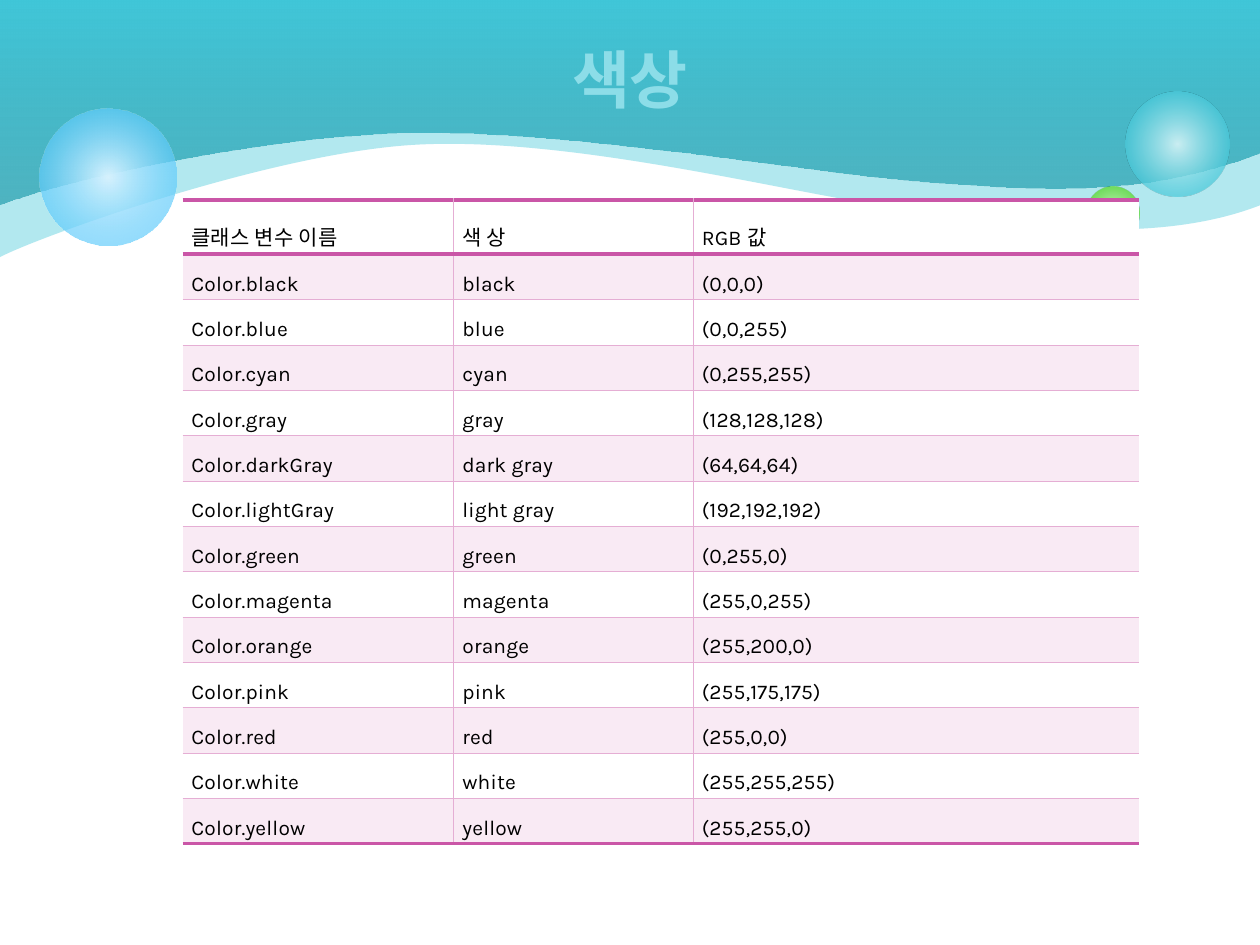
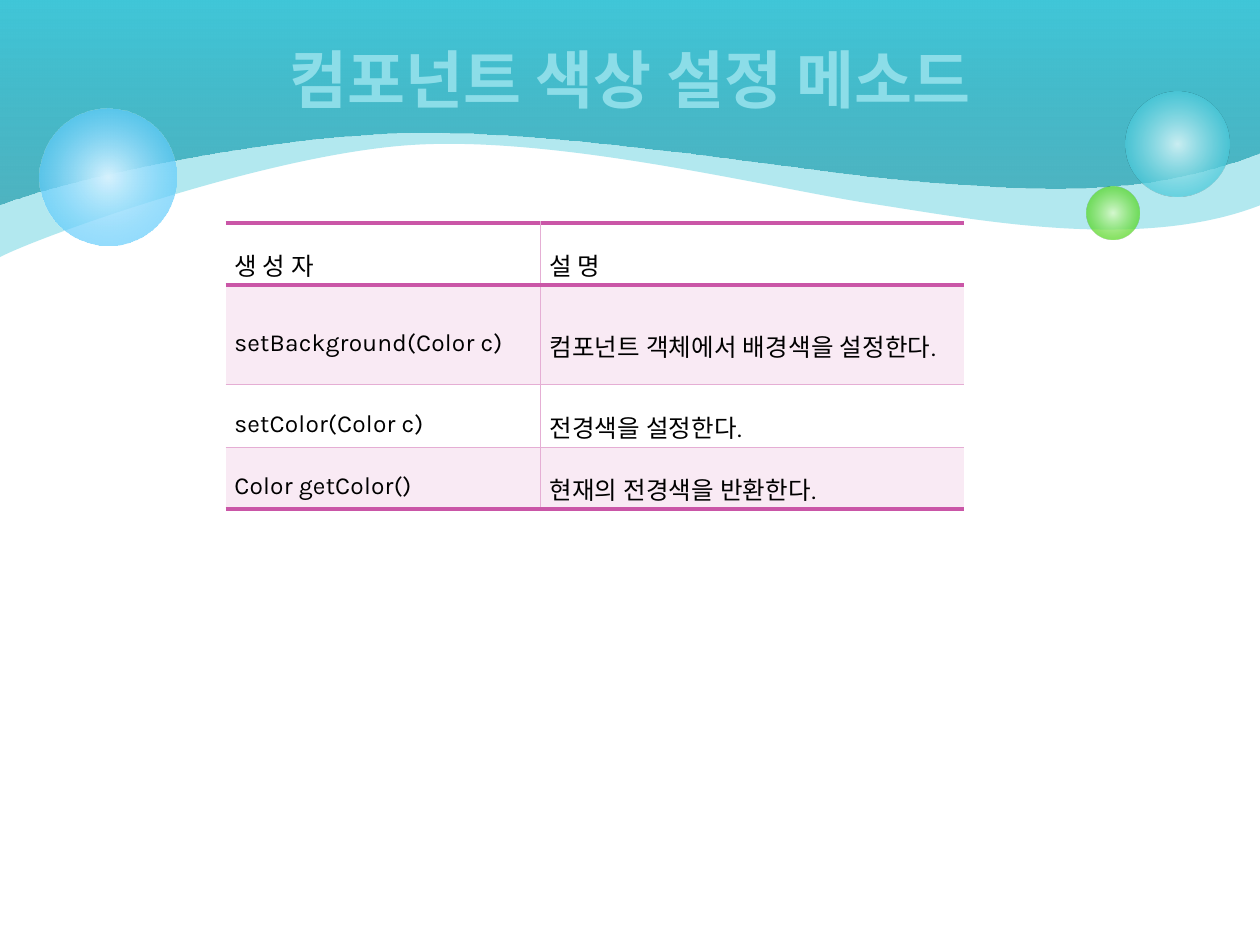
"""Build two slides on Java colours under a shared wave-and-bubble header."""
from dataclasses import dataclass
from typing import NamedTuple, Optional

import pptx
import pptx.dml.color
import pptx.enum.shapes
import pptx.enum.text
import pptx.oxml
import pptx.oxml.ns
import pptx.util

RGBColor = pptx.dml.color.RGBColor
qn = pptx.oxml.ns.qn

WIDTH, HEIGHT = pptx.util.Inches(10), pptx.util.Inches(7.5)
COL, ROW = WIDTH / 100, HEIGHT / 75

BLACK = RGBColor(0x00, 0x00, 0x00)
WHITE = RGBColor(0xFF, 0xFF, 0xFF)
AQUA = RGBColor(0x40, 0xC6, 0xD8)
DEEP_AQUA = RGBColor(0x24, 0x9E, 0xAE)
MID_AQUA = RGBColor(0x8C, 0xDD, 0xE8)
PALE_AQUA = RGBColor(0xD9, 0xF4, 0xF7)
GREEN = RGBColor(0x4C, 0xD4, 0x16)
PALE_GREEN = RGBColor(0xDA, 0xFA, 0xCD)
BLUE = RGBColor(0x33, 0xBD, 0xFB)
PALE_BLUE = RGBColor(0xD6, 0xF2, 0xFE)
BAND_PINK = RGBColor(0xF9, 0xEA, 0xF4)
LINE_PINK = RGBColor(0xE5, 0xAE, 0xD4)
RULE_PINK = RGBColor(0xCA, 0x56, 0xA7)

TITLE_FONT, BODY_FONT = "Noto Sans CJK KR", "Karla"


class Stop(NamedTuple):
    position: int
    color: RGBColor
    alpha: int = 100


class Border(NamedTuple):
    color: RGBColor
    width: float


@dataclass(frozen=True)
class Wave:
    curves: list[tuple[float, float]]
    stops: list[Stop]
    angle: Optional[int] = None


@dataclass(frozen=True)
class Bubble:
    left: float
    top: float
    size: float
    stops: list[Stop]


@dataclass(frozen=True)
class TableSlide:
    title: str
    left: float
    top: float
    columns: list[float]
    heights: list[float]
    size: int
    cells: list[tuple[str, ...]]


THIN, THICK = Border(LINE_PINK, 0.28), Border(RULE_PINK, 2.55)

WAVES = [
    Wave([(0, 5.4), (0, 15), (0, 20.4), (3.3, 18.7), (21.4, 12.2), (32.8, 11.5),
          (44.3, 10.8), (60.6, 14.8), (68.7, 16.1), (76.8, 17.3), (90.2, 20.1), (100, 16.3)],
         [Stop(0, AQUA, 40)]),
    Wave([(0, 5.4), (0, 10.8), (0, 16.2), (4.5, 14.4), (20.3, 10.8), (32.6, 10.5),
          (44.9, 10.2), (65.8, 13.9), (73.7, 14.4), (81.6, 14.9), (90.2, 15.9), (100, 12.1)],
         [Stop(0, DEEP_AQUA, 69), Stop(100, AQUA)], 270),
]
BUBBLES = [
    Bubble(89.3, 7.3, 8.3, [Stop(0, PALE_AQUA, 90), Stop(76, AQUA, 70)]),
    Bubble(86.2, 14.8, 4.2, [Stop(0, PALE_GREEN, 90), Stop(76, GREEN, 70)]),
    Bubble(3.1, 8.6, 10.9, [Stop(0, PALE_BLUE), Stop(100, BLUE, 54)]),
]
TITLE_STOPS = [Stop(0, PALE_AQUA), Stop(48, MID_AQUA), Stop(57, PALE_AQUA), Stop(100, PALE_AQUA)]

COLORS = {
    "black": (0, 0, 0), "blue": (0, 0, 255), "cyan": (0, 255, 255),
    "gray": (128, 128, 128), "darkGray": (64, 64, 64), "lightGray": (192, 192, 192),
    "green": (0, 255, 0), "magenta": (255, 0, 255), "orange": (255, 200, 0),
    "pink": (255, 175, 175), "red": (255, 0, 0), "white": (255, 255, 255),
    "yellow": (255, 255, 0),
}


def spaced(name: str) -> str:
    return "".join(f" {c.lower()}" if c.isupper() else c for c in name)


COLOR_ROWS = [(f"Color.{name}", spaced(name), f"({r},{g},{b})")
              for name, (r, g, b) in COLORS.items()]

SLIDES = [
    TableSlide("색상", 14.5, 15.9, [21.5, 19, 35.4], [3.6] * (len(COLOR_ROWS) + 1), 12,
               [("클래스 변수 이름", "색 상", "RGB 값"), *COLOR_ROWS]),
    TableSlide("컴포넌트 색상 설정 메소드", 17.9, 17.7, [25, 33.6], [4.1, 7.9, 4.1, 4.1], 14,
               [("생 성 자", "설 명"),
                ("setBackground(Color c)", "컴포넌트 객체에서 배경색을 설정한다."),
                ("setColor(Color c)", "전경색을 설정한다."),
                ("Color getColor()", "현재의 전경색을 반환한다.")]),
]


def x(cols: float) -> int:
    return round(cols * COL)


def y(rows: float) -> int:
    return round(rows * ROW)


def xml(text: str):
    head, tail = text.split(">", 1)
    slash = "/" if head.endswith("/") else ""
    return pptx.oxml.parse_xml(f"{head.rstrip('/')} {pptx.oxml.ns.nsdecls('a')}{slash}>{tail}")


def fill_xml(stops: list[Stop], angle: Optional[int] = None):
    colors = [f'<a:srgbClr val="{s.color}"><a:alpha val="{s.alpha * 1000}"/></a:srgbClr>'
              for s in stops]
    if len(stops) == 1:
        return xml(f"<a:solidFill>{colors[0]}</a:solidFill>")
    steps = "".join(f'<a:gs pos="{s.position * 1000}">{c}</a:gs>' for s, c in zip(stops, colors))
    if angle is None:
        shade = ('<a:path path="circle">'
                 '<a:fillToRect l="50000" t="50000" r="50000" b="50000"/></a:path>')
    else:
        shade = f'<a:lin ang="{angle * 60000}" scaled="0"/>'
    return xml(f'<a:gradFill rotWithShape="1"><a:gsLst>{steps}</a:gsLst>{shade}</a:gradFill>')


def paint(sp, stops: list[Stop], angle: Optional[int] = None) -> None:
    sp.shadow.inherit = False
    sp.line.fill.background()
    sp.fill.background()
    props = sp.element.find(qn("p:spPr"))
    props.replace(props.find(qn("a:noFill")), fill_xml(stops, angle))


def draw_wave(slide, wave: Wave):
    builder = slide.shapes.build_freeform(0, 0)
    corners = [(100.1, 0), (0, 0)]
    builder.add_line_segments([(x(c), y(r)) for c, r in wave.curves + corners], close=True)
    sp = builder.convert_to_shape()
    lines = list(sp.element.iter(qn("a:lnTo")))[:len(wave.curves)]
    for i in range(0, len(lines), 3):
        curve = xml("<a:cubicBezTo/>")
        lines[i].addprevious(curve)
        for line in lines[i:i + 3]:
            curve.append(line[0])
            line.getparent().remove(line)
    paint(sp, wave.stops, wave.angle)
    return sp


def draw_bubble(slide, bubble: Bubble):
    sp = slide.shapes.add_shape(pptx.enum.shapes.MSO_SHAPE.OVAL, x(bubble.left), y(bubble.top),
                                x(bubble.size), y(bubble.size))
    paint(sp, bubble.stops)
    return sp


def decorate_layout(layout, slide) -> None:
    """Draw the header on a slide and hand it over to the slide's layout."""
    shapes = [draw_wave(slide, w) for w in WAVES] + [draw_bubble(slide, b) for b in BUBBLES]
    for sp in shapes:
        layout.shapes.element.append(sp.element)
    title = layout.placeholders[0]
    title.left, title.top, title.width, title.height = x(5), y(0), x(90), y(12.5)


def write_title(slide, text: str) -> None:
    sp = slide.shapes.title
    tf = sp.text_frame
    tf.text = text
    tf.vertical_anchor = pptx.enum.text.MSO_ANCHOR.MIDDLE
    p = tf.paragraphs[0]
    p.alignment = pptx.enum.text.PP_ALIGN.CENTER
    p.font.size, p.font.name = pptx.util.Pt(36), TITLE_FONT
    p.runs[0].font.bold = True
    props = next(sp.element.iter(qn("a:rPr")))
    props.append(xml(f'<a:ln w="{pptx.util.Pt(0.5)}"><a:solidFill>'
                     f'<a:srgbClr val="{PALE_AQUA}"/></a:solidFill></a:ln>'))
    props.append(fill_xml(TITLE_STOPS, 90))
    props.append(xml(f'<a:ea typeface="{TITLE_FONT}"/>'))


def border_xml(side: str, border: Optional[Border]):
    if border is None:
        return xml(f'<a:ln{side} w="0"><a:noFill/></a:ln{side}>')
    return xml(f'<a:ln{side} w="{pptx.util.Pt(border.width)}"><a:solidFill>'
               f'<a:srgbClr val="{border.color}"/></a:solidFill></a:ln{side}>')


def write_cell(cell, text: str, size: int, fill: RGBColor) -> None:
    cell.text = text
    cell.vertical_anchor = pptx.enum.text.MSO_ANCHOR.MIDDLE
    cell.margin_left = cell.margin_right = pptx.util.Inches(0.07)
    cell.margin_top = cell.margin_bottom = pptx.util.Inches(0.02)
    cell.fill.solid()
    cell.fill.fore_color.rgb = fill
    p = cell.text_frame.paragraphs[0]
    p.alignment = pptx.enum.text.PP_ALIGN.JUSTIFY
    p.line_spacing = 1.6
    p.font.size, p.font.name, p.font.bold = pptx.util.Pt(size), BODY_FONT, False
    p.font.color.rgb = BLACK


def draw_table(slide, spec: TableSlide) -> None:
    n_rows, n_cols = len(spec.heights), len(spec.columns)
    frame = slide.shapes.add_table(n_rows, n_cols, x(spec.left), y(spec.top),
                                   x(sum(spec.columns)), y(sum(spec.heights)))
    table = frame.table
    table.first_row = table.horz_banding = False
    for column, width in zip(table.columns, spec.columns):
        column.width = x(width)
    for i, (row, height, texts) in enumerate(zip(table.rows, spec.heights, spec.cells)):
        row.height = y(height)
        for cell, text in zip(row.cells, texts):
            write_cell(cell, text, spec.size, BAND_PINK if i % 2 else WHITE)
    for font in frame.element.iter(qn("a:defRPr")):
        font.set("spc", "10")
    for i, props in enumerate(frame.element.iter(qn("a:tcPr"))):
        row, col = divmod(i, n_cols)
        borders = {
            "L": THIN if col else None,
            "R": THIN if col < n_cols - 1 else None,
            "T": THICK if row < 2 else THIN,
            "B": THICK if row in (0, n_rows - 1) else THIN,
        }
        for place, (side, border) in enumerate(borders.items()):
            props.insert(place, border_xml(side, border))


def main() -> None:
    prs = pptx.Presentation()
    prs.slide_width, prs.slide_height = WIDTH, HEIGHT
    layout = prs.slide_layouts.get_by_name("Title Only")
    for number, spec in enumerate(SLIDES):
        slide = prs.slides.add_slide(layout)
        if number == 0:
            decorate_layout(layout, slide)
        write_title(slide, spec.title)
        draw_table(slide, spec)
    prs.save("out.pptx")


if __name__ == "__main__":
    main()
